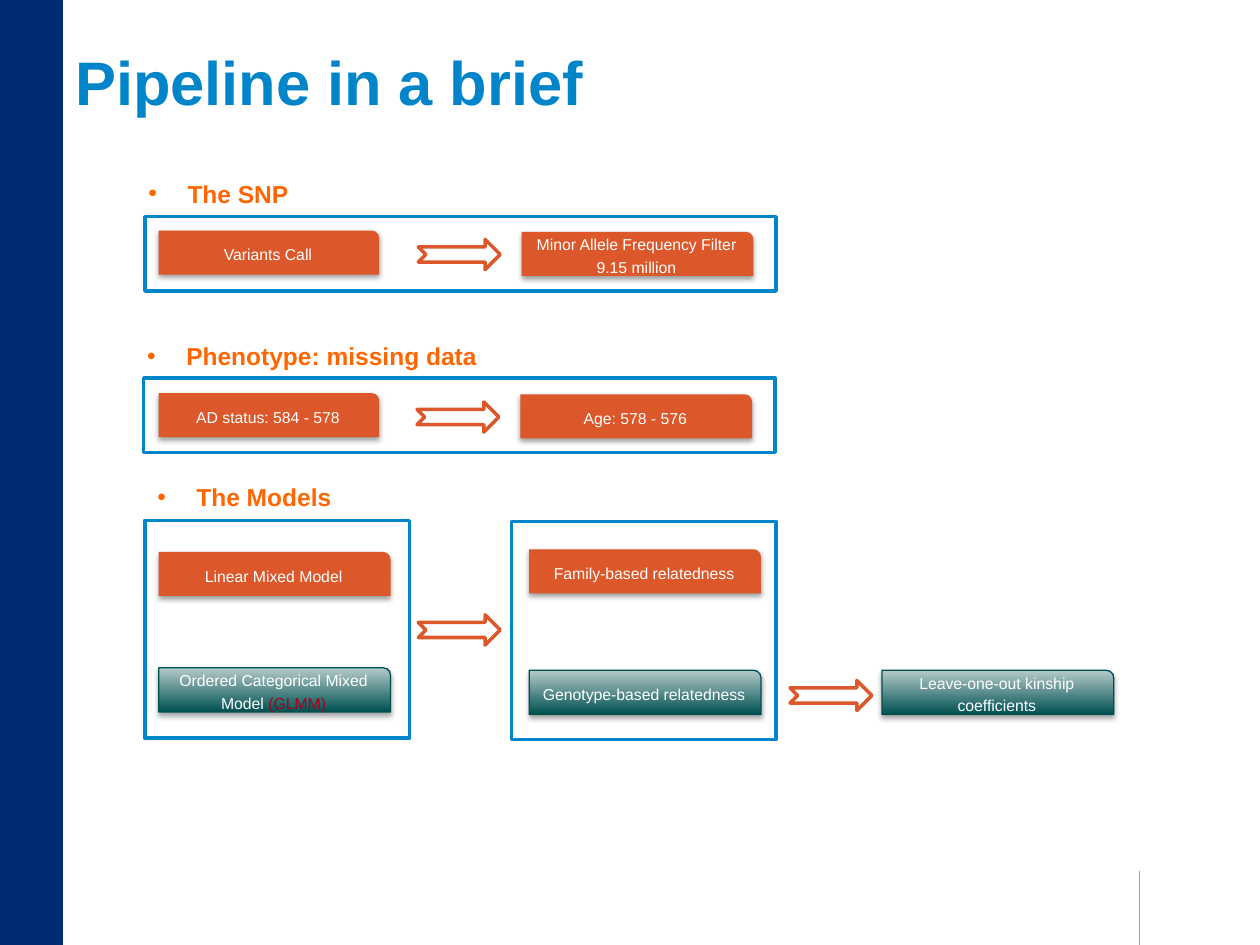
from lxml.etree import SubElement
from pptx import Presentation
from pptx.dml.color import RGBColor
from pptx.enum.shapes import MSO_CONNECTOR as Connector, MSO_SHAPE as Shape
from pptx.enum.text import MSO_ANCHOR as Anchor, PP_ALIGN as Align
from pptx.oxml.ns import qn
from pptx.util import Inches, Pt

NAVY, BLUE, ORANGE, BRIGHT = "002D72", "0085CA", "DC582A", "FF6600"
WHITE, RED, GREY = "FFFFFF", "A6001C", "A0A0A0"
TEAL, TEAL_LIGHT, TEAL_LINE = "005151", "B5CACA", "004F4F"

TITLE = "Pipeline in a brief"
HEADINGS = [
    ("The SNP", 1.08, 1.37),
    ("Phenotype: missing data", 1.07, 2.66),
    ("The Models", 1.15, 3.78),
]
LEFT, MIDDLE, RIGHT = 1.26, 4.2, 7
NARROW, WIDE = 1.75, 1.84
STEP_HEIGHT = 0.35
ORANGE_STEPS = [
    (["Variants Call"], LEFT, 1.83, NARROW),
    (["Minor Allele Frequency Filter", "9.15 million"], 4.14, 1.84, WIDE),
    (["AD status: 584 - 578"], LEFT, 3.12, NARROW),
    (["Age: 578 - 576"], 4.13, 3.13, WIDE),
    (["Linear Mixed Model"], LEFT, 4.38, WIDE),
    (["Family-based relatedness"], MIDDLE, 4.36, WIDE),
]
TEAL_STEPS = [
    (["Ordered Categorical Mixed Model |(GLMM)"], LEFT, 5.3, WIDE),
    (["Genotype-based relatedness"], MIDDLE, 5.32, WIDE),
    (["Leave-one-out kinship coefficients"], RIGHT, 5.32, WIDE),
]
ROW_SIZE, MODEL_SIZE, ARROW_SIZE = (5.01, 0.59), (2.1, 1.73), (0.65, 0.24)
FRAMES = [
    (1.15, 1.72, ROW_SIZE),
    (1.14, 3, ROW_SIZE),
    (1.15, 4.13, MODEL_SIZE),
    (4.06, 4.14, MODEL_SIZE),
]
ARROWS = [(3.32, 1.9), (3.31, 3.19), (3.32, 4.88), (6.27, 5.4)]

presentation = Presentation()
presentation.slide_width, presentation.slide_height = Inches(10), Inches(7.5)
slide = presentation.slides.add_slide(presentation.slide_layouts[6])


def color(value):
    return RGBColor.from_string(value)


def add_shape(kind, left, top, width, height, fill=None, line=None, weight=2):
    shape = slide.shapes.add_shape(kind, *map(Inches, (left, top, width, height)))
    shape.shadow.inherit = False
    if fill:
        shape.fill.solid()
        shape.fill.fore_color.rgb = color(fill)
    else:
        shape.fill.background()
    if line:
        shape.line.color.rgb = color(line)
        shape.line.width = Pt(weight)
    else:
        shape.line.fill.background()
    return shape


def add_run(paragraph, text, size, fill, bold=False):
    run = paragraph.add_run()
    run.text = text
    run.font.name, run.font.size, run.font.bold = "Arial", Pt(size), bold
    run.font.color.rgb = color(fill)


def add_text(text, left, top, width, height, size, fill, bullet=False):
    box = slide.shapes.add_textbox(*map(Inches, (left, top, width, height)))
    box.text_frame.word_wrap = True
    paragraph = box.text_frame.paragraphs[0]
    if bullet:
        properties = paragraph._p.get_or_add_pPr()
        properties.set("marL", str(Inches(0.31)))
        properties.set("indent", str(-Inches(0.31)))
        SubElement(properties, qn("a:buFont"), typeface="Arial")
        SubElement(properties, qn("a:buChar"), char="•")
    add_run(paragraph, text, size, fill, bold=True)


def add_shadow(shape, distance, opacity):
    effects = shape._element.spPr.find(qn("a:effectLst"))
    shadow = SubElement(effects, qn("a:outerShdw"), blurRad=str(Pt(3.1)),
                        dist=str(Pt(distance)), dir="5400000", rotWithShape="0")
    shade = SubElement(shadow, qn("a:srgbClr"), val="000000")
    SubElement(shade, qn("a:alpha"), val=str(opacity * 1000))


def add_step(lines, left, top, width, teal=False):
    shape = add_shape(Shape.ROUND_1_RECTANGLE, left, top, width, STEP_HEIGHT,
                      fill=ORANGE, line=TEAL_LINE if teal else None, weight=0.75)
    if teal:
        shape.fill.gradient()
        shape.fill.gradient_angle = 90
        for stop, value in zip(shape.fill.gradient_stops, (TEAL, TEAL_LIGHT)):
            stop.color.rgb = color(value)
        add_shadow(shape, 1.8, 35)
    else:
        add_shadow(shape, 1.6, 38)
    frame = shape.text_frame
    frame.word_wrap, frame.vertical_anchor = True, Anchor.MIDDLE
    for index, line in enumerate(lines):
        paragraph = frame.add_paragraph() if index else frame.paragraphs[0]
        paragraph.alignment, paragraph.line_spacing = Align.CENTER, 1.2
        for part, fill in zip(line.split("|"), (WHITE, RED)):
            add_run(paragraph, part, 9, fill)


divider = slide.shapes.add_connector(
    Connector.STRAIGHT, *map(Inches, (9.04, 6.91, 9.04, 7.5)))
divider.line.color.rgb = color(GREY)
divider.line.width = Pt(0.25)
SubElement(divider._element.spPr, qn("a:effectLst"))

add_shape(Shape.RECTANGLE, 0, 0, 0.5, 7.5, fill=NAVY)
add_text(TITLE, 0.5, 0.3, 9, 1.25, 35.1, BLUE)
for step in ORANGE_STEPS:
    add_step(*step)
for step in TEAL_STEPS:
    add_step(*step, teal=True)
for left, top, size in FRAMES:
    add_shape(Shape.RECTANGLE, left, top, *size, line=BLUE)
for left, top in ARROWS:
    add_shape(Shape.NOTCHED_RIGHT_ARROW, left, top, *ARROW_SIZE,
              fill=WHITE, line=ORANGE)
for text, left, top in HEADINGS:
    add_text(text, left, top, 6.82, 0.34, 14, BRIGHT, bullet=True)

presentation.save("out.pptx")
